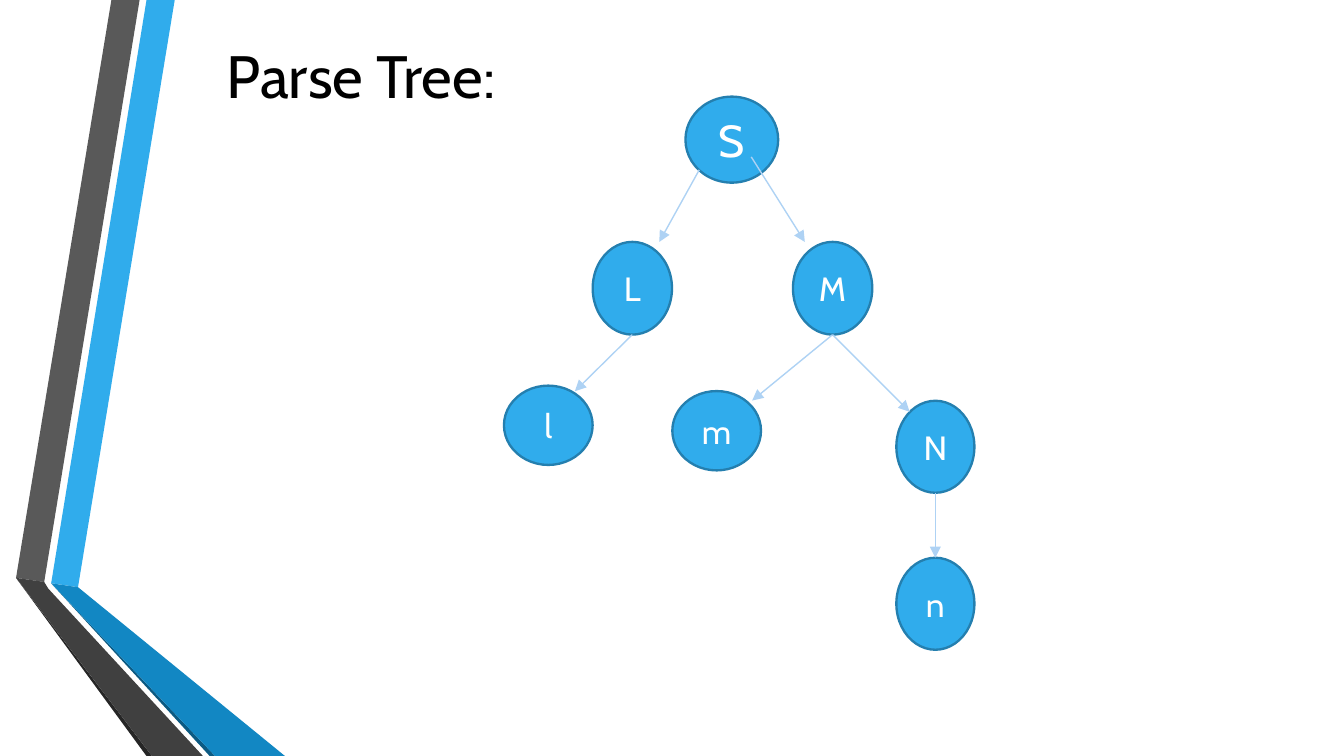
from lxml.etree import SubElement
from pptx import Presentation
from pptx.dml.color import RGBColor
from pptx.enum.shapes import MSO_CONNECTOR, MSO_SHAPE
from pptx.enum.text import MSO_ANCHOR, PP_ALIGN
from pptx.oxml.ns import qn
from pptx.util import Pt

SLIDE_WIDTH, SLIDE_HEIGHT = 720, 405
BLUE, NODE_BORDER, EDGE = "30ACEC", "247FAF", "AED2F4"
WHITE, BLACK = "FFFFFF", "000000"

FOLDS = [
    (BLUE, [(18.8, 312.5), (33.2, 314.6), (85, 0), (69.9, 0)]),
    ("595959", [(66.2, 0), (51.1, 0), (0, 309.6), (15.1, 311.8)]),
    ("262626", [(0, 309.6), (69.9, 405), (72.8, 405)]),
    ("0C5A82", [(18.8, 312.5), (103.7, 405), (106.6, 405)]),
    ("1287C3", [(18.8, 312.5), (106.6, 405), (144, 405), (33.2, 314.6)]),
    ("404040", [(0, 309.6), (72.8, 405), (100.1, 405), (17.3, 315.4), (15.1, 311.8)]),
]

BIG, TALL, WIDE, SLIM = (49.7, 46.1), (42.5, 49.7), (47.5, 42.5), (41.8, 49.3)
NODES = {
    "S": (97.2, 0, BIG, 24),
    "L": (47.5, 77.8, TALL, 18),
    "M": (154.8, 77.8, TALL, 18),
    "l": (0, 154.8, WIDE, 18),
    "m": (90.2, 157.7, WIDE, 18),
    "N": (210.2, 162.9, SLIM, 18),
    "n": (210.2, 247, SLIM, 18),
}
BOTTOM, TOP = (0.5, 1), (0.5, 0)
EDGES = [
    ("S", (0.71, 0.7), "M", (0.15, 0)),
    ("S", (0.15, 0.85), "L", (0.84, 0)),
    ("L", BOTTOM, "l", (0.8, 0.07)),
    ("M", BOTTOM, "m", (0.9, 0.12)),
    ("M", BOTTOM, "N", (0.17, 0.12)),
    ("N", BOTTOM, "n", TOP),
]


def color(hex_value):
    return RGBColor.from_string(hex_value)


def apply(target, values):
    for name, value in values.items():
        setattr(target, name, value)


def paint(shape, fill):
    shape.shadow.inherit = False
    shape.fill.solid()
    shape.fill.fore_color.rgb = color(fill)


def outline(shape, line_color, width):
    shape.line.color.rgb = color(line_color)
    shape.line.width = Pt(width)


def write(shape, words, size, ink, align, frame_format):
    apply(shape.text_frame, frame_format)
    paragraph = shape.text_frame.paragraphs[0]
    paragraph.alignment = align
    label = paragraph.add_run()
    label.text = words
    apply(label.font, {"name": "Cabin", "size": Pt(size)})
    label.font.color.rgb = color(ink)


def add_ribbon(slide, left, top):
    for fill, corners in FOLDS:
        points = [(Pt(left + x), Pt(top + y)) for x, y in corners]
        builder = slide.shapes.build_freeform(*points[0], scale=1.0)
        builder.add_line_segments(points[1:], close=True)
        fold = builder.convert_to_shape()
        paint(fold, fill)
        fold.line.fill.background()


def add_title(slide, left, top, width, height):
    title = slide.shapes.add_textbox(Pt(left), Pt(top), Pt(width), Pt(height))
    write(title, "Parse Tree:", 32, BLACK, PP_ALIGN.LEFT, {"word_wrap": True})


def add_node(slide, left, top, symbol):
    x, y, (width, height), size = NODES[symbol]
    node = slide.shapes.add_shape(
        MSO_SHAPE.OVAL, Pt(left + x), Pt(top + y), Pt(width), Pt(height))
    paint(node, BLUE)
    outline(node, NODE_BORDER, 1.25)
    write(node, symbol, size, WHITE, PP_ALIGN.CENTER,
          {"word_wrap": True, "vertical_anchor": MSO_ANCHOR.MIDDLE})


def anchor(left, top, symbol, site):
    x, y, (width, height), _ = NODES[symbol]
    return Pt(left + x + width * site[0]), Pt(top + y + height * site[1])


def add_tree(slide, left, top):
    for symbol in NODES:
        add_node(slide, left, top, symbol)
    for parent, start, child, end in EDGES:
        edge = slide.shapes.add_connector(
            MSO_CONNECTOR.STRAIGHT,
            *anchor(left, top, parent, start), *anchor(left, top, child, end))
        outline(edge, EDGE, 0.75)
        SubElement(edge.line._get_or_add_ln(), qn("a:tailEnd"), type="triangle")
        SubElement(edge._element.spPr, qn("a:effectLst"))


def main():
    deck = Presentation()
    apply(deck, {"slide_width": Pt(SLIDE_WIDTH), "slide_height": Pt(SLIDE_HEIGHT)})
    slide = deck.slides.add_slide(deck.slide_layouts[6])
    add_ribbon(slide, 8.6, 0)
    add_tree(slide, 270, 51.8)
    add_title(slide, 114.5, 17.3, 203, 46.1)
    deck.save("out.pptx")


if __name__ == "__main__":
    main()
